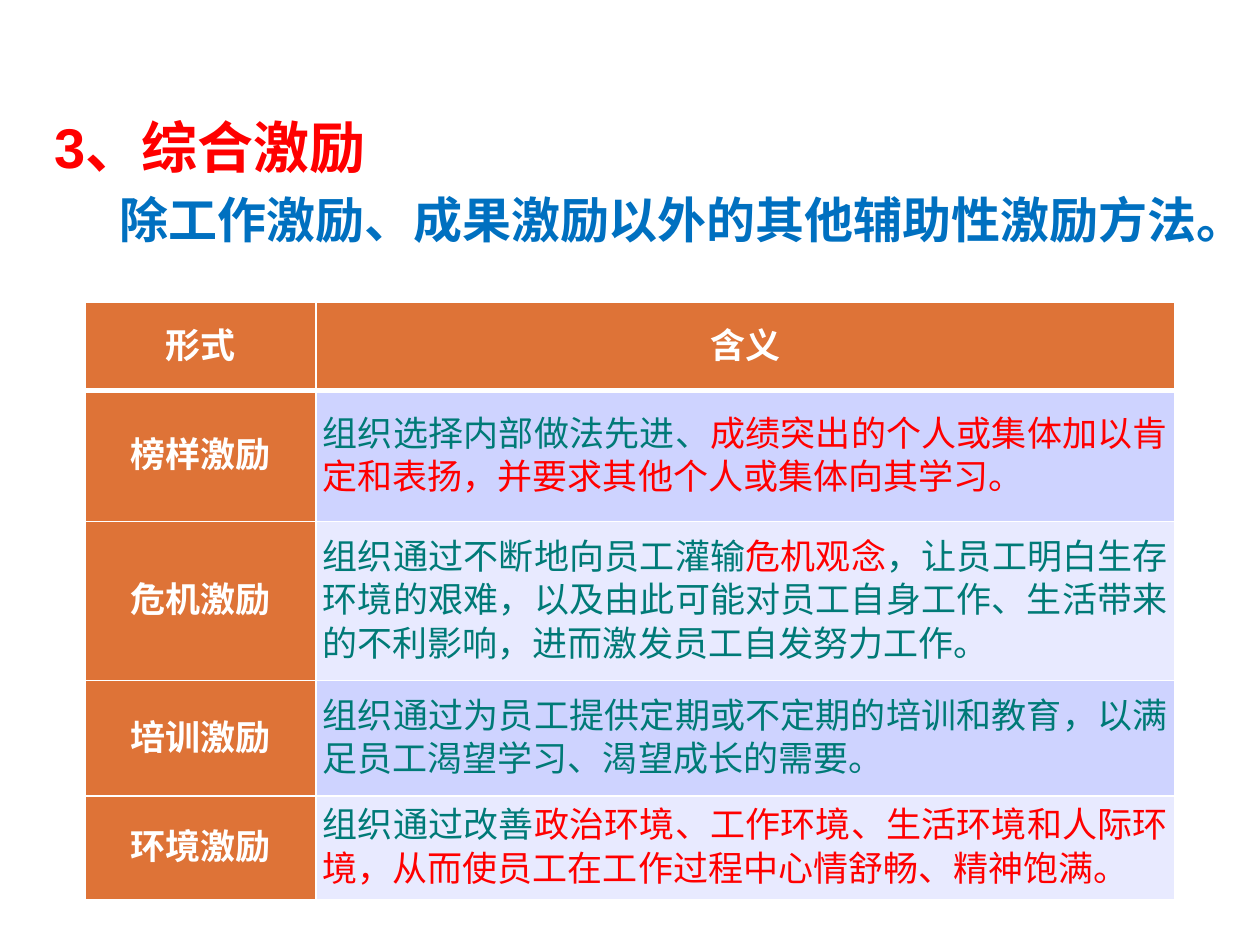
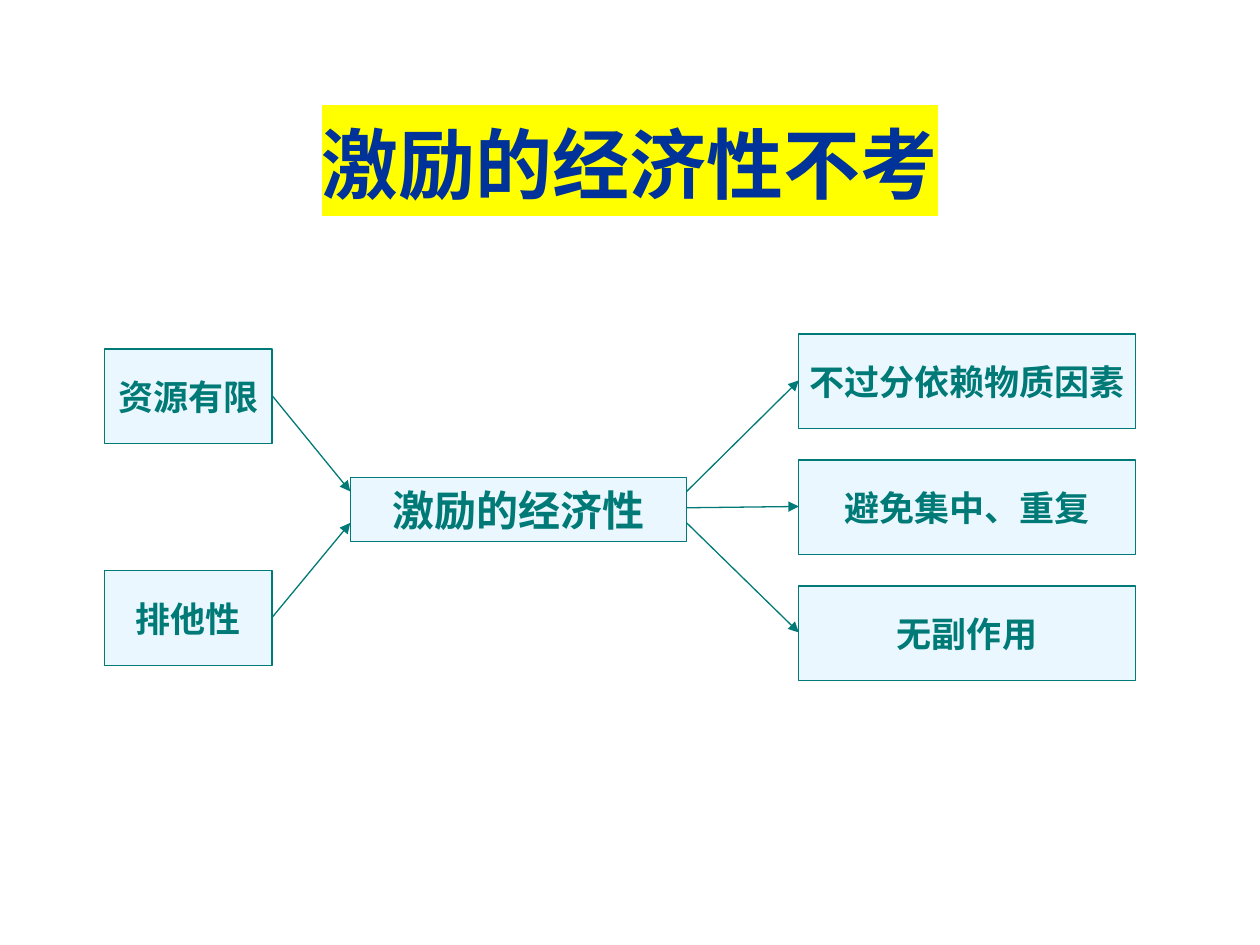
"""Build two slides on comprehensive incentives and the economy of incentives."""
from dataclasses import dataclass
from typing import NamedTuple

from lxml.etree import SubElement
from pptx import Presentation
from pptx.dml.color import RGBColor
from pptx.enum.shapes import MSO_CONNECTOR, MSO_SHAPE
from pptx.enum.text import MSO_ANCHOR, MSO_AUTO_SIZE, PP_ALIGN
from pptx.oxml.ns import qn
from pptx.util import Emu, Pt

EMU_PER_PX = 9144


@dataclass(frozen=True)
class Theme:
    latin_font: str = "Arial"
    chinese_font: str = "Noto Sans CJK SC"
    white: str = "FFFFFF"
    red: str = "FF0000"
    blue: str = "0070C0"
    navy: str = "003399"
    teal: str = "007A77"
    yellow: str = "FFFF00"
    orange: str = "DE7337"
    box_fill: str = "EBF7FF"
    row_fills: tuple[str, str] = ("CED3FF", "E8EAFF")
    title_size: int = 44
    heading_size: int = 32
    lead_size: int = 28
    hub_size: int = 24
    text_size: int = 20
    table_leading: int = 25
    line_width: float = 0.75


THEME = Theme()


class Span(NamedTuple):
    text: str
    color: str = THEME.teal


class Incentive(NamedTuple):
    form: str
    meaning: tuple[Span, ...]
    height: int


class Box(NamedTuple):
    text: str
    left: int
    top: int
    width: int
    height: int
    size: int = THEME.text_size
    wrap: bool = False

    @property
    def right(self) -> int:
        return self.left + self.width

    @property
    def middle(self) -> int:
        return self.top + self.height // 2


INCENTIVES = (
    Incentive("榜样激励", (
        Span("组织选择内部做法先进、"),
        Span("成绩突出的个人或集体加以肯定和表扬，并要求其他个人或集体向其学习。", THEME.red)), 104),
    Incentive("危机激励", (
        Span("组织通过不断地向员工灌输"),
        Span("危机观念", THEME.red),
        Span("，让员工明白生存环境的艰难，以及由此可能对员工自身工作、生活带来的不利影响，"
             "进而激发员工自发努力工作。")), 126),
    Incentive("培训激励", (
        Span("组织通过为员工提供定期或不定期的培训和教育，以满足员工渴望学习、渴望成长的需要。"),), 92),
    Incentive("环境激励", (
        Span("组织通过改善"),
        Span("政治环境、工作环境、生活环境和人际环境，从而使员工在工作过程中心情舒畅、精神饱满。",
             THEME.red)), 82),
)
HEADER_HEIGHT = 70
COLUMN_WIDTHS = (183, 681)

HUB = Box("激励的经济性", 278, 379, 267, 51, THEME.hub_size, True)
HUB_PORTS = (390, 403, 415)
CAUSES = tuple(Box(text, 83, 277 + 176 * index, 133, 75)
               for index, text in enumerate(("资源有限", "排他性")))
MEASURES = tuple(Box(text, 634, 265 + 100 * index, 267, 75)
                 for index, text in enumerate(("不过分依赖物质因素", "避免集中、重复", "无副作用")))


def px(length: int) -> Emu:
    """Turn px into EMU."""
    return Emu(length * EMU_PER_PX)


def rgb(color: str) -> RGBColor:
    """Turn a hex string into a colour."""
    return RGBColor.from_string(color)


def place(shape, left: int, top: int, width: int, height: int) -> None:
    """Move and size a shape."""
    shape.left, shape.top, shape.width, shape.height = map(px, (left, top, width, height))


def style_paragraph(paragraph, size: int, color: str, bold: bool = True,
                    latin_font: str = THEME.latin_font) -> None:
    """Set the font that all runs of a paragraph share."""
    font = paragraph.font
    font.size, font.bold, font.name = Pt(size), bold, latin_font
    font.color.rgb = rgb(color)
    defaults = paragraph._p.get_or_add_pPr().find(qn("a:defRPr"))
    SubElement(defaults, qn("a:ea"), typeface=THEME.chinese_font)


def set_plain_indent(paragraph, first_line: int) -> None:
    """Remove the bullet and set the first-line indent."""
    properties = paragraph._p.get_or_add_pPr()
    properties.set("marL", "0")
    properties.set("indent", str(px(first_line)))
    SubElement(properties, qn("a:buNone"))


def set_borders(cell, top: int, bottom: int) -> None:
    """Give a cell white borders with widths in points."""
    properties = cell._tc.get_or_add_tcPr()
    for side, width in (("L", 1), ("R", 1), ("T", top), ("B", bottom)):
        line = SubElement(properties, qn(f"a:ln{side}"), w=str(Pt(width)))
        fill = SubElement(line, qn("a:solidFill"))
        SubElement(fill, qn("a:srgbClr"), val=THEME.white)


def fill_cell(cell, spans: tuple[Span, ...], fill: str, row: int, label: bool) -> None:
    """Write and format one table cell."""
    set_borders(cell, 3 if row == 1 else 1, 3 if row == 0 else 1)
    cell.fill.solid()
    cell.fill.fore_color.rgb = rgb(fill)
    cell.vertical_anchor = MSO_ANCHOR.MIDDLE
    cell.margin_left = cell.margin_right = px(5)
    cell.margin_top = cell.margin_bottom = 0
    paragraph = cell.text_frame.paragraphs[0]
    paragraph.alignment = PP_ALIGN.CENTER if label else PP_ALIGN.JUSTIFY
    paragraph.line_spacing = Pt(THEME.table_leading)
    for span in spans:
        run = paragraph.add_run()
        run.text = span.text
        run.font.color.rgb = rgb(span.color)
    style_paragraph(paragraph, THEME.text_size, spans[0].color, label, THEME.chinese_font)


def add_incentive_table(slide) -> None:
    """Add the table of incentive forms and meanings."""
    heights = (HEADER_HEIGHT, *(incentive.height for incentive in INCENTIVES))
    frame = slide.shapes.add_table(len(heights), len(COLUMN_WIDTHS), px(68), px(240),
                                   px(sum(COLUMN_WIDTHS)), px(sum(heights)))
    table = frame.table
    table.first_row = table.horz_banding = False
    for column, width in zip(table.columns, COLUMN_WIDTHS):
        column.width = px(width)
    for row, height in zip(table.rows, heights):
        row.height = px(height)
    for column, heading in enumerate(("形式", "含义")):
        fill_cell(table.cell(0, column), (Span(heading, THEME.white),), THEME.orange, 0, True)
    for row, incentive in enumerate(INCENTIVES, start=1):
        label = (Span(incentive.form, THEME.white),)
        fill_cell(table.cell(row, 0), label, THEME.orange, row, True)
        fill_cell(table.cell(row, 1), incentive.meaning, THEME.row_fills[(row - 1) % 2], row, False)


def add_box(slide, box: Box) -> None:
    """Add one labelled box of the diagram."""
    shape = slide.shapes.add_shape(MSO_SHAPE.RECTANGLE, px(box.left), px(box.top),
                                   px(box.width), px(box.height))
    shape.shadow.inherit = False
    shape.fill.solid()
    shape.fill.fore_color.rgb = rgb(THEME.box_fill)
    shape.line.color.rgb = rgb(THEME.teal)
    shape.line.width = Pt(THEME.line_width)
    frame = shape.text_frame
    frame.word_wrap = box.wrap
    frame.vertical_anchor = MSO_ANCHOR.MIDDLE
    frame.margin_left = frame.margin_right = px(6)
    frame.margin_top = frame.margin_bottom = px(5)
    paragraph = frame.paragraphs[0]
    paragraph.text = box.text
    paragraph.alignment = PP_ALIGN.CENTER
    style_paragraph(paragraph, box.size, THEME.teal)


def add_arrow(slide, start: tuple[int, int], end: tuple[int, int]) -> None:
    """Add a straight arrow between two points."""
    connector = slide.shapes.add_connector(MSO_CONNECTOR.STRAIGHT, *map(px, start + end))
    connector.line.color.rgb = rgb(THEME.teal)
    connector.line.width = Pt(THEME.line_width)
    properties = connector._element.spPr
    SubElement(properties.find(qn("a:ln")), qn("a:tailEnd"), type="triangle")
    SubElement(properties, qn("a:effectLst"))


def build_incentive_slide(presentation) -> None:
    """Build the slide with the lead text and the table."""
    slide = presentation.slides.add_slide(presentation.slide_layouts[1])
    title, body = slide.placeholders
    title._element.getparent().remove(title._element)
    place(body, 33, 84, 934, 459)
    frame = body.text_frame
    frame.auto_size = MSO_AUTO_SIZE.NONE
    lines = (("3、综合激励", THEME.heading_size, THEME.red, 0),
             ("除工作激励、成果激励以外的其他辅助性激励方法。", THEME.lead_size, THEME.blue, 52))
    frame.text = "\n".join(line[0] for line in lines)
    for paragraph, (_, size, color, indent) in zip(frame.paragraphs, lines):
        set_plain_indent(paragraph, indent)
        style_paragraph(paragraph, size, color)
    add_incentive_table(slide)


def build_economy_slide(presentation) -> None:
    """Build the slide with the cause and measure diagram."""
    slide = presentation.slides.add_slide(presentation.slide_layouts[5])
    title = slide.shapes.title
    place(title, 33, 67, 934, 125)
    frame = title.text_frame
    frame.auto_size = MSO_AUTO_SIZE.NONE
    frame.vertical_anchor = MSO_ANCHOR.MIDDLE
    paragraph = frame.paragraphs[0]
    paragraph.text = "激励的经济性不考"
    paragraph.alignment = PP_ALIGN.CENTER
    style_paragraph(paragraph, THEME.title_size, THEME.navy)
    highlight = SubElement(paragraph.runs[0]._r.get_or_add_rPr(), qn("a:highlight"))
    SubElement(highlight, qn("a:srgbClr"), val=THEME.yellow)

    for box in (HUB, *CAUSES, *MEASURES):
        add_box(slide, box)
    for cause, port in zip(CAUSES, HUB_PORTS[::2]):
        add_arrow(slide, (cause.right, cause.middle), (HUB.left, port))
    for measure, port in zip(MEASURES, HUB_PORTS):
        add_arrow(slide, (HUB.right, port), (measure.left, measure.middle))


def main() -> None:
    """Create and save the presentation."""
    presentation = Presentation()
    presentation.slide_width, presentation.slide_height = px(1000), px(750)
    build_incentive_slide(presentation)
    build_economy_slide(presentation)
    presentation.save("out.pptx")


if __name__ == "__main__":
    main()
